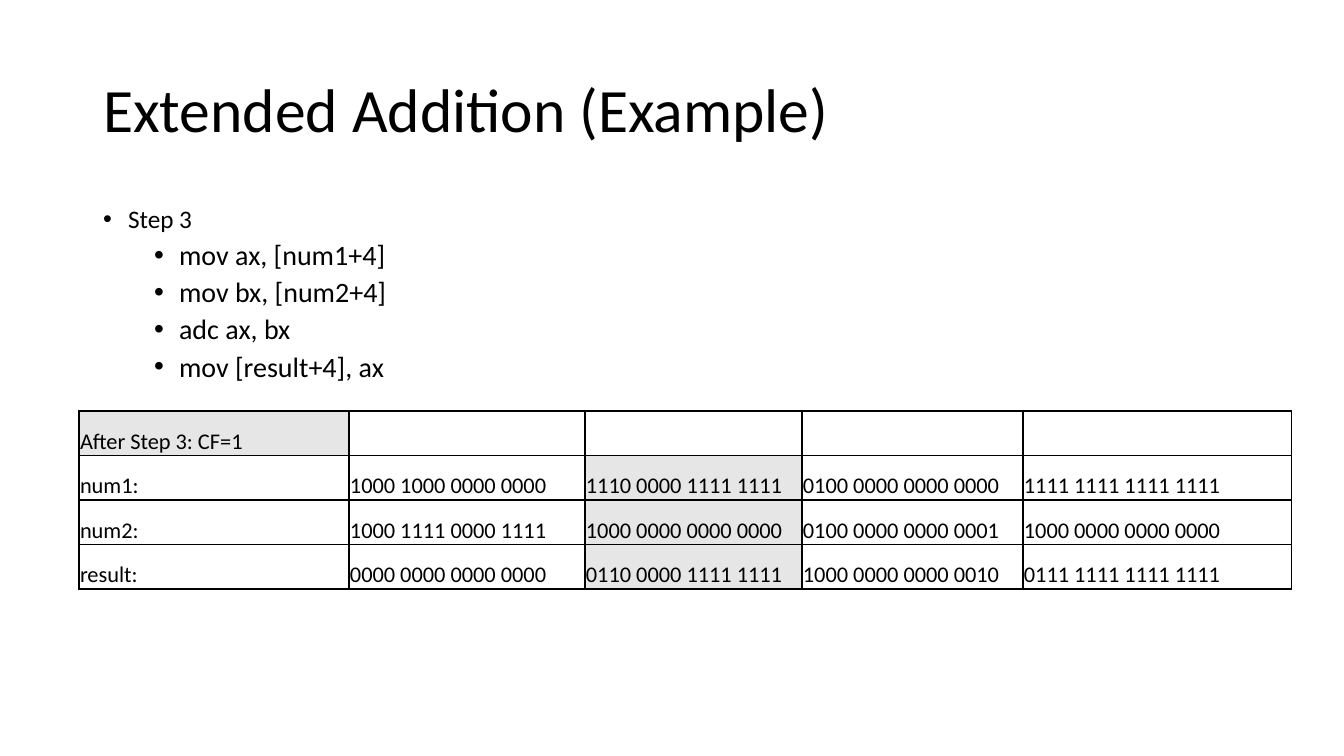
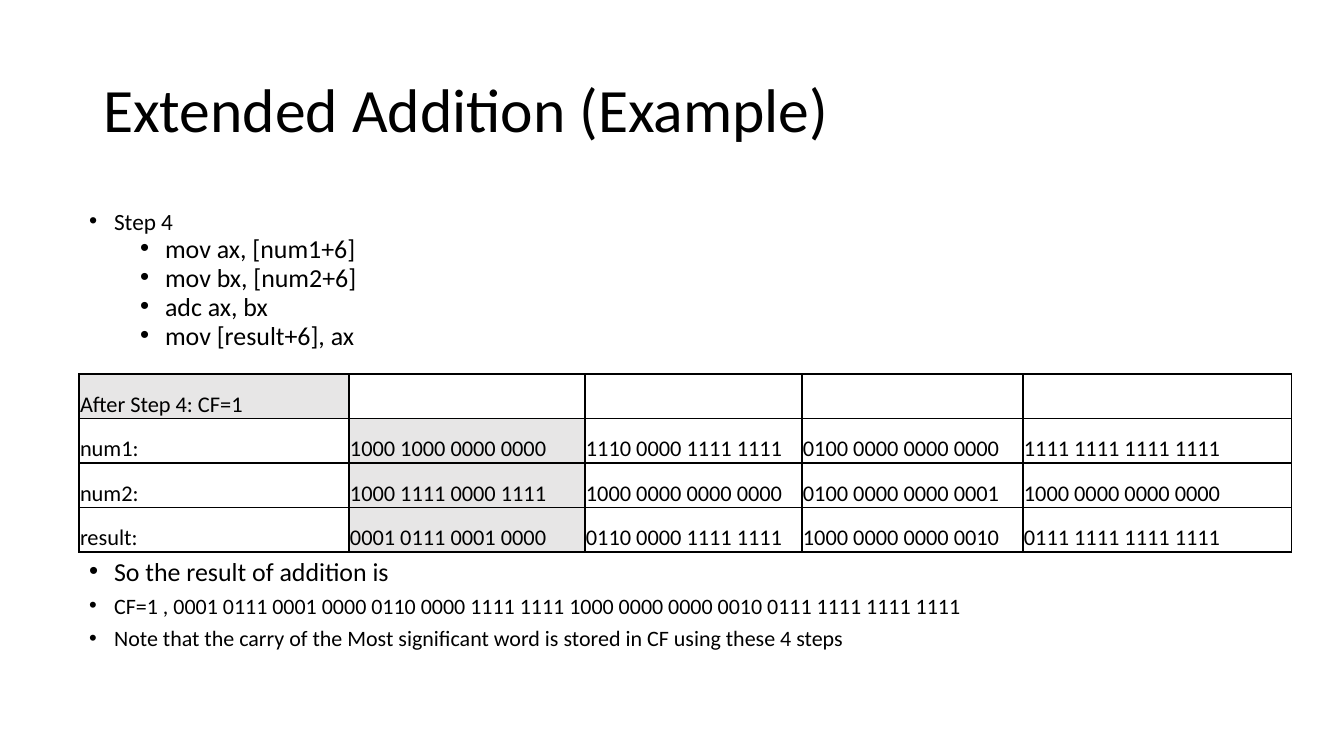
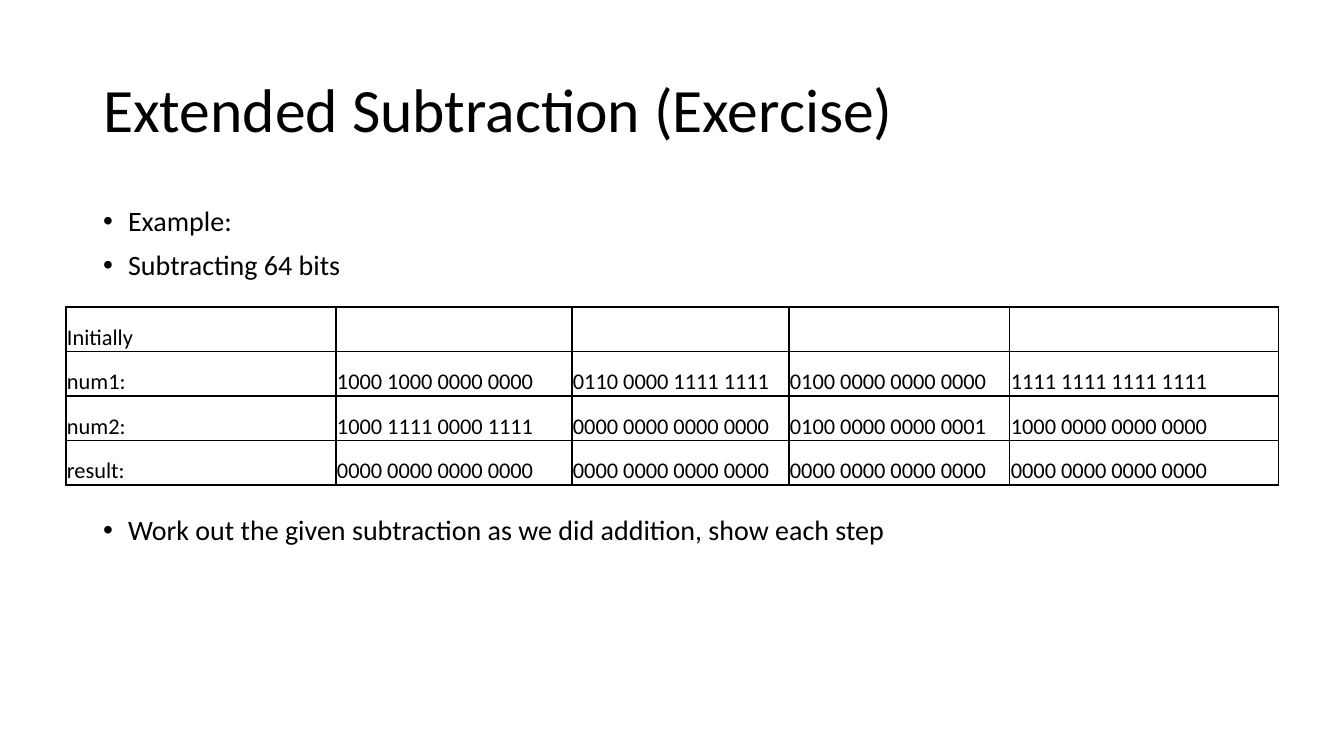
from pptx import Presentation
from pptx.dml.color import RGBColor
from pptx.enum.text import MSO_ANCHOR, MSO_AUTO_SIZE
from pptx.oxml import parse_xml
from pptx.oxml.ns import nsdecls, qn
from pptx.util import Pt

BLACK = RGBColor(0x00, 0x00, 0x00)
WHITE = RGBColor(0xFF, 0xFF, 0xFF)
SHADE = RGBColor(0xE7, 0xE6, 0xE6)
FONT = "Calibri"

EMU_PER_PX = 914400 / 100.8
SLIDE_SIZE = (1344, 756)
TITLE_BOX = (93, 40, 1159, 146)
BODY_SIZE = (1159, 480)
COLUMN_WIDTHS = (270, 236, 217, 221, 269)
TABLE_HEIGHT = 178
CELL_FORMAT = {"margin_left": 1, "margin_right": 1, "margin_top": 1, "margin_bottom": 0}

# Master text levels: style, level, size, left margin, hanging indent, space before, bullet
TEXT_LEVELS = [
    ("titleStyle", 1, 44, 0, 0, 0, None),
    ("bodyStyle", 1, 20, 25, 25, 10, "•"),
    ("bodyStyle", 2, 20, 76, 25, 5, "•"),
]

ROW_LABELS = ("num1:", "num2:", "result:")
ADDENDS = [
    ("1000 1000 0000 0000", "1110 0000 1111 1111", "0100 0000 0000 0000", "1111 1111 1111 1111"),
    ("1000 1111 0000 1111", "1000 0000 0000 0000", "0100 0000 0000 0001", "1000 0000 0000 0000"),
]
SUBTRACTION = [
    ("1000 1000 0000 0000", "0110 0000 1111 1111", "0100 0000 0000 0000", "1111 1111 1111 1111"),
    ("1000 1111 0000 1111", "0000 0000 0000 0000", "0100 0000 0000 0001", "1000 0000 0000 0000"),
    ("0000 0000 0000 0000",) * 4,
]

# Each bullet: level, size, text and, where the table sits above it, space before
SLIDES = [
    {
        "title": "Extended Addition (Example)",
        "body_at": (93, 202),
        "line_spacing": 0.9,
        "bullets": [
            (0, 18, "Step 3"),
            (1, 20, "mov ax, [num1+4]"),
            (1, 20, "mov bx, [num2+4]"),
            (1, 20, "adc ax, bx"),
            (1, 20, "mov [result+4], ax"),
        ],
        "table_at": (79, 411),
        "caption": "After Step 3: CF=1",
        "words": ADDENDS + [
            ("0000 0000 0000 0000", "0110 0000 1111 1111", "1000 0000 0000 0010", "0111 1111 1111 1111"),
        ],
        "active_column": 2,
    },
    {
        "title": "Extended Addition (Example)",
        "body_at": (79, 210),
        "line_spacing": 0.7,
        "bullets": [
            (0, 16.6, "Step 4"),
            (1, 18.5, "mov ax, [num1+6]"),
            (1, 18.5, "mov bx, [num2+6]"),
            (1, 18.5, "adc ax, bx"),
            (1, 18.5, "mov [result+6], ax"),
            (0, 18.5, "So the result of addition is", 153),
            (0, 15.7, "CF=1 , 0001 0111 0001 0000 0110 0000 1111 1111 1000 0000 0000 0010 0111 1111 1111 1111"),
            (0, 15.7, "Note that the carry of the Most significant word is stored in CF using these 4 steps"),
        ],
        "table_at": (79, 374),
        "caption": "After Step 4: CF=1",
        "words": ADDENDS + [
            ("0001 0111 0001 0000", "0110 0000 1111 1111", "1000 0000 0000 0010", "0111 1111 1111 1111"),
        ],
        "active_column": 1,
    },
    {
        "title": "Extended Subtraction (Exercise)",
        "body_at": (93, 202),
        "line_spacing": 0.9,
        "bullets": [
            (0, 20, "Example:"),
            (0, 20, "Subtracting 64 bits"),
            (0, 20, "Work out the given subtraction as we did addition, show each step", 168),
        ],
        "table_at": (66, 307),
        "caption": "Initially",
        "words": SUBTRACTION,
        "active_column": None,
    },
]


def px(length):
    return round(length * EMU_PER_PX)


def place(shape, box):
    for side, length in zip(("left", "top", "width", "height"), box):
        setattr(shape, side, px(length))


def style_master(master):
    """Set the title and bullet styles that every slide inherits."""
    text_styles = master.element.find(qn("p:txStyles"))
    for style_name, level, size, margin, hanging, before, bullet in TEXT_LEVELS:
        tag = f"a:lvl{level}pPr"
        mark = f'<a:buFont typeface="Arial"/><a:buChar char="{bullet}"/>' if bullet else "<a:buNone/>"
        level_style = parse_xml(
            f'<{tag} {nsdecls("a")} marL="{px(margin)}" indent="{-px(hanging)}" algn="l">'
            f'<a:lnSpc><a:spcPct val="90000"/></a:lnSpc>'
            f'<a:spcBef><a:spcPts val="{before * 100}"/></a:spcBef>{mark}'
            f'<a:defRPr sz="{size * 100}"><a:solidFill><a:srgbClr val="{BLACK}"/></a:solidFill>'
            f'<a:latin typeface="{FONT}"/></a:defRPr></{tag}>'
        )
        style = text_styles.find(qn(f"p:{style_name}"))
        style.replace(style.find(qn(tag)), level_style)


def add_bullets(body, bullets, line_spacing):
    frame = body.text_frame
    frame.auto_size = MSO_AUTO_SIZE.NONE
    for index, (level, size, text, *space_before) in enumerate(bullets):
        paragraph = frame.add_paragraph() if index else frame.paragraphs[0]
        paragraph.level = level
        paragraph.line_spacing = line_spacing
        if space_before:
            paragraph.space_before = Pt(space_before[0])
        run = paragraph.add_run()
        run.text = text
        run.font.size = Pt(size)


def format_cell(cell, text, fill):
    for name, length in CELL_FORMAT.items():
        setattr(cell, name, px(length))
    cell.vertical_anchor = MSO_ANCHOR.BOTTOM
    properties = cell._tc.get_or_add_tcPr()
    for side in "LRTB":
        properties.append(parse_xml(
            f'<a:ln{side} {nsdecls("a")} w="{Pt(1)}"><a:solidFill>'
            f'<a:srgbClr val="{BLACK}"/></a:solidFill></a:ln{side}>'
        ))
    cell.fill.solid()
    cell.fill.fore_color.rgb = fill
    cell.text = text
    font = cell.text_frame.paragraphs[0].font
    font.size, font.name = Pt(16), FONT
    font.color.rgb = BLACK
    for run in cell.text_frame.paragraphs[0].runs:
        run.font.size, run.font.name = Pt(16), FONT
        run.font.color.rgb = BLACK


def add_word_table(slide, at, caption, words, active_column):
    """Add the register table, shading its caption and the column of the current step."""
    rows = [(caption, "", "", "", "")]
    rows += [(label, *row) for label, row in zip(ROW_LABELS, words)]
    box = (*at, sum(COLUMN_WIDTHS), TABLE_HEIGHT)
    table = slide.shapes.add_table(len(rows), len(COLUMN_WIDTHS), *map(px, box)).table
    table.first_row = table.horz_banding = False
    for column, width in zip(table.columns, COLUMN_WIDTHS):
        column.width = px(width)
    for r, row in enumerate(rows):
        table.rows[r].height = px(TABLE_HEIGHT / len(rows))
        for c, text in enumerate(row):
            shaded = active_column is not None and c == (active_column if r else 0)
            format_cell(table.cell(r, c), text, SHADE if shaded else WHITE)


def main():
    deck = Presentation()
    deck.slide_width, deck.slide_height = map(px, SLIDE_SIZE)
    style_master(deck.slide_master)
    for content in SLIDES:
        slide = deck.slides.add_slide(deck.slide_layouts[1])
        title, body = slide.placeholders
        title.text = content["title"]
        place(title, TITLE_BOX)
        place(body, (*content["body_at"], *BODY_SIZE))
        add_bullets(body, content["bullets"], content["line_spacing"])
        add_word_table(slide, content["table_at"], content["caption"],
                       content["words"], content["active_column"])
    deck.save("out.pptx")


if __name__ == "__main__":
    main()
